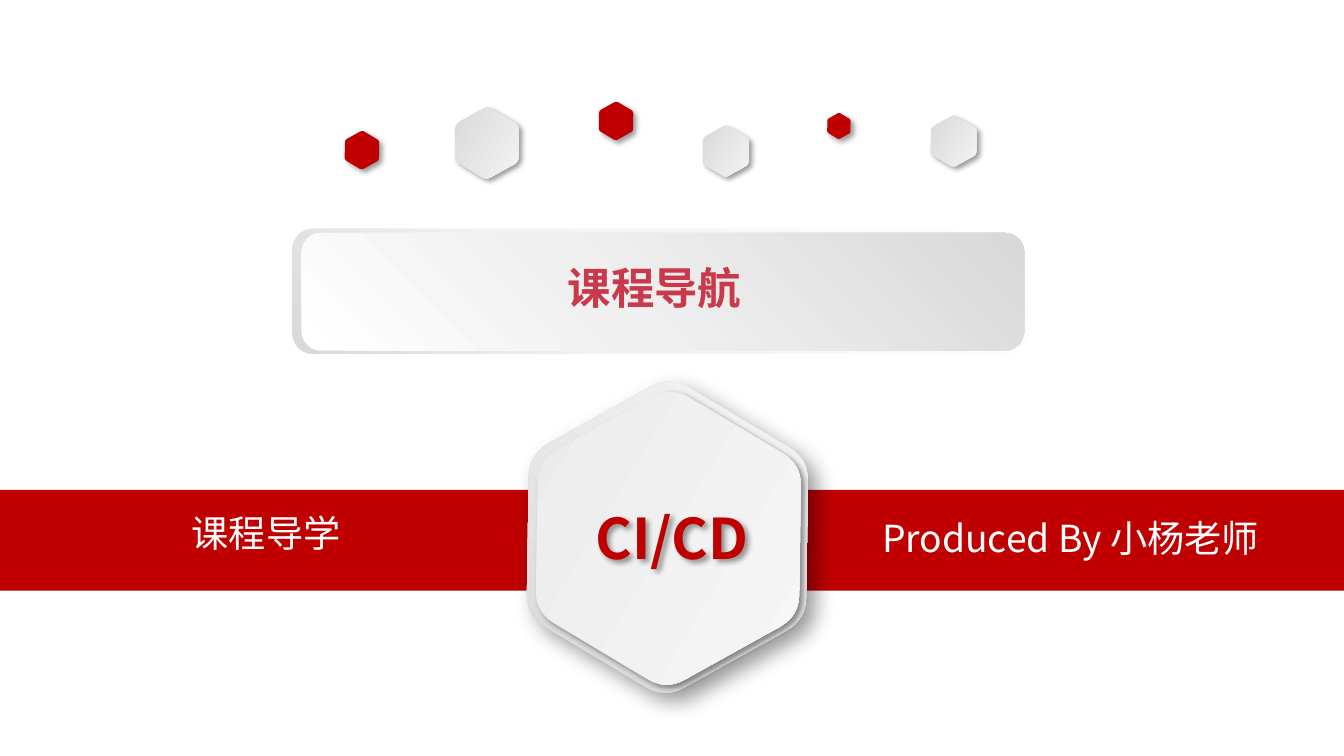
import math

import lxml.etree
import pptx
import pptx.dml.color
import pptx.enum.shapes
import pptx.enum.text
import pptx.oxml
import pptx.oxml.ns
import pptx.util

Inches = pptx.util.Inches
RGBColor = pptx.dml.color.RGBColor
Preset = pptx.enum.shapes.MSO_SHAPE
Align = pptx.enum.text.PP_ALIGN
Anchor = pptx.enum.text.MSO_ANCHOR

RED = RGBColor(0xC0, 0x00, 0x00)
TITLE_RED = RGBColor(0xC9, 0x39, 0x4A)
WHITE = RGBColor(0xFF, 0xFF, 0xFF)
PALE = RGBColor(0xF9, 0xF9, 0xF9)
LIGHT = RGBColor(0xF2, 0xF2, 0xF2)
SOFT = RGBColor(0xF0, 0xF0, 0xF0)
MIST = RGBColor(0xE9, 0xE9, 0xE9)
SILVER = RGBColor(0xD9, 0xD9, 0xD9)
GREY = RGBColor(0xD3, 0xD3, 0xD3)

FONT = "Noto Sans CJK SC"
TILT = 30.9
CORNER_CUT = 0.14
CORNER_STEPS = 6
GREY_STOPS = [(0, GREY), (100, PALE)]


def paint(shape, fill, angle=0):
    shape.shadow.inherit = False
    shape.line.fill.background()
    if isinstance(fill, RGBColor):
        shape.fill.solid()
        shape.fill.fore_color.rgb = fill
        return
    stops = "".join(
        f'<a:gs pos="{position * 1000}"><a:srgbClr val="{color}"/></a:gs>'
        for position, color in fill
    )
    gradient = pptx.oxml.parse_xml(
        f'<a:gradFill {pptx.oxml.ns.nsdecls("a")} rotWithShape="1">'
        f'<a:gsLst>{stops}</a:gsLst><a:lin ang="{angle * 60000}" scaled="0"/></a:gradFill>'
    )
    shape.fill.background()
    properties = shape._element.spPr
    properties.replace(properties.find(pptx.oxml.ns.qn("a:noFill")), gradient)


def add_shadow(shape, blur=4, distance=3):
    shape.shadow.inherit = False
    effects = shape._element.spPr.find(pptx.oxml.ns.qn("a:effectLst"))
    shadow = lxml.etree.SubElement(
        effects, pptx.oxml.ns.qn("a:outerShdw"),
        blurRad=str(pptx.util.Pt(blur)), dist=str(pptx.util.Pt(distance)),
        dir="2700000", algn="tl", rotWithShape="0",
    )
    color = lxml.etree.SubElement(shadow, pptx.oxml.ns.qn("a:srgbClr"), val="000000")
    lxml.etree.SubElement(color, pptx.oxml.ns.qn("a:alpha"), val="40000")


def add_box(slide, preset, left, top, width, height, fill, angle=0):
    shape = slide.shapes.add_shape(
        preset, Inches(left), Inches(top), Inches(width), Inches(height)
    )
    paint(shape, fill, angle)


def hexagon_points(center_x, center_y, height):
    radius = height / math.sqrt(3)
    corners = [
        (center_x + radius * math.cos(math.radians(60 * side)),
         center_y + radius * math.sin(math.radians(60 * side)))
        for side in range(6)
    ]

    def toward(corner, neighbor):
        return [a + (b - a) * CORNER_CUT for a, b in zip(corner, neighbor)]

    points = []
    for side, corner in enumerate(corners):
        start = toward(corner, corners[side - 1])
        end = toward(corner, corners[(side + 1) % 6])
        for step in range(CORNER_STEPS + 1):
            t = step / CORNER_STEPS
            points.append(tuple(
                Inches((1 - t) ** 2 * a + 2 * t * (1 - t) * b + t ** 2 * c)
                for a, b, c in zip(start, corner, end)
            ))
    return points


def add_hexagon(slide, center_x, center_y, height, fill, angle=0, blur=4, distance=3):
    points = hexagon_points(center_x, center_y, height)
    builder = slide.shapes.build_freeform(*points[0])
    builder.add_line_segments(points[1:], close=True)
    shape = builder.convert_to_shape()
    shape.rotation = TILT
    paint(shape, fill, angle)
    add_shadow(shape, blur, distance)


def add_text(slide, text, left, top, width, height, *, size, color,
             bold=False, align=Align.CENTER, anchor=Anchor.TOP):
    box = slide.shapes.add_textbox(
        Inches(left), Inches(top), Inches(width), Inches(height)
    )
    frame = box.text_frame
    frame.word_wrap = True
    frame.vertical_anchor = anchor
    paragraph = frame.paragraphs[0]
    paragraph.alignment = align
    run = paragraph.add_run()
    run.text = text
    run.font.size = pptx.util.Pt(size)
    run.font.bold = bold
    run.font.color.rgb = color
    run.font.name = FONT
    east_asian = lxml.etree.SubElement(run.font._element, pptx.oxml.ns.qn("a:ea"))
    east_asian.set("typeface", FONT)
    return box


def main():
    presentation = pptx.Presentation()
    presentation.slide_width = Inches(13.33)
    presentation.slide_height = Inches(7.5)
    slide = presentation.slides.add_slide(presentation.slide_layouts[6])

    add_box(slide, Preset.RECTANGLE, 0, 4.86, 13.33, 1, RED)
    add_text(slide, "课程导学", 0.29, 5.01, 4.7, 0.65, size=26.6, color=WHITE)
    add_text(slide, "Produced By 小杨老师", 8.65, 5.06, 4.67, 0.55,
             size=26.6, color=WHITE, align=Align.LEFT)

    for center_x, center_y, height, fill in [
        (4.83, 1.42, 0.63, GREY_STOPS),
        (6.11, 1.2, 0.34, RED),
        (3.59, 1.49, 0.34, RED),
        (7.2, 1.5, 0.45, GREY_STOPS),
        (8.32, 1.25, 0.23, RED),
        (9.46, 1.4, 0.45, GREY_STOPS),
    ]:
        add_hexagon(slide, center_x, center_y, height, fill)

    add_hexagon(slide, 6.62, 5.33, 2.77, GREY_STOPS, angle=270, blur=15, distance=9)
    add_hexagon(slide, 6.63, 5.34, 2.61, [(0, MIST), (100, PALE)])

    add_box(slide, Preset.ROUNDED_RECTANGLE, 2.9, 2.27, 7.31, 1.24,
            [(0, WHITE), (62, LIGHT), (100, SILVER)], angle=135)
    add_box(slide, Preset.ROUNDED_RECTANGLE, 2.99, 2.31, 7.17, 1.17,
            [(0, WHITE), (42, SOFT), (100, SILVER)], angle=315)
    add_text(slide, "课程导航", 2.84, 2.54, 7.3, 0.62, size=31, color=TITLE_RED, bold=True)
    badge = add_text(slide, "CI/CD", 5.21, 4.99, 2.91, 0.67, size=40, color=RED,
                     bold=True, anchor=Anchor.MIDDLE)
    add_shadow(badge)

    presentation.save("out.pptx")


if __name__ == "__main__":
    main()
